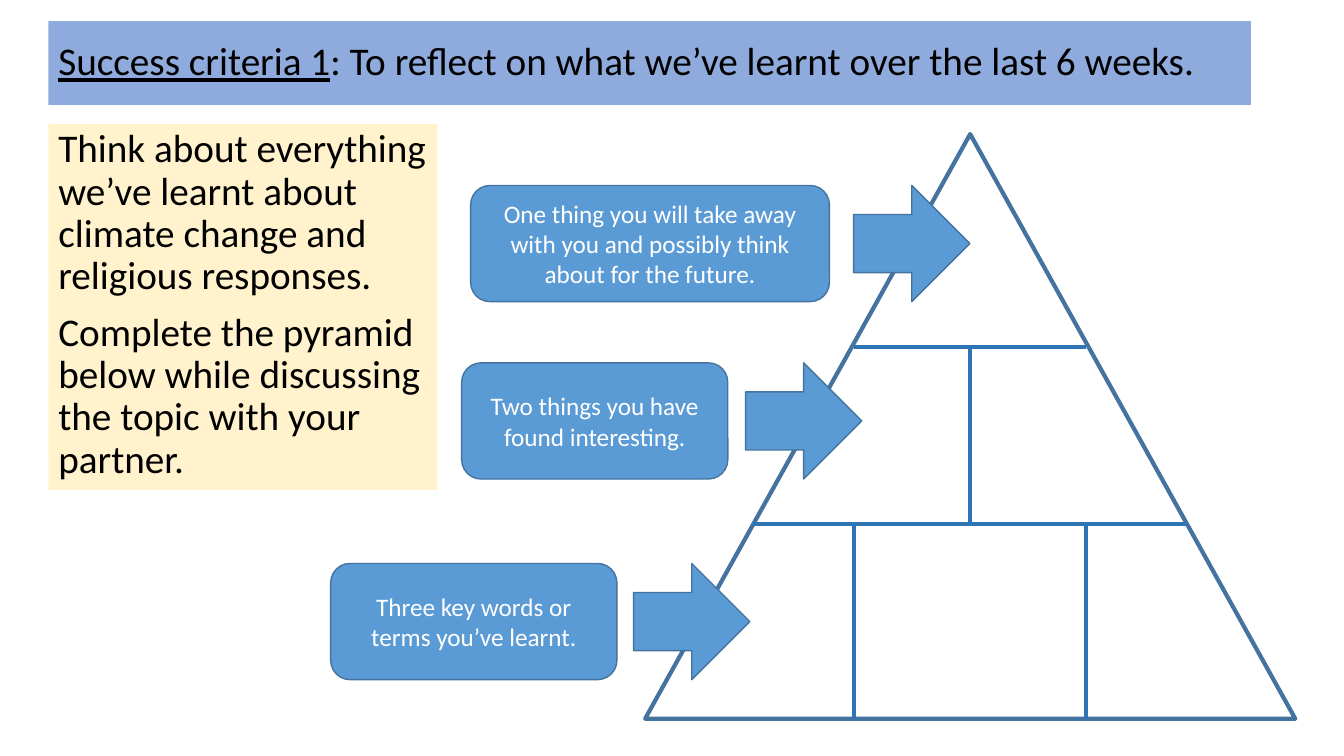
from dataclasses import dataclass

import pptx
import pptx.dml.color
import pptx.enum.shapes
import pptx.enum.text
import pptx.oxml.ns
import pptx.presentation
import pptx.shapes.autoshape
import pptx.slide
import pptx.util
from lxml import etree

Pt = pptx.util.Pt
RGBColor = pptx.dml.color.RGBColor
MSO_SHAPE = pptx.enum.shapes.MSO_SHAPE
PP_ALIGN = pptx.enum.text.PP_ALIGN
MSO_ANCHOR = pptx.enum.text.MSO_ANCHOR

BLACK = RGBColor(0x00, 0x00, 0x00)
WHITE = RGBColor(0xFF, 0xFF, 0xFF)
BANNER_BLUE = RGBColor(0x8F, 0xAA, 0xDC)
CREAM = RGBColor(0xFF, 0xF2, 0xCC)
PROMPT_BLUE = RGBColor(0x5B, 0x9B, 0xD5)
OUTLINE_BLUE = RGBColor(0x43, 0x73, 0x9E)
DIVIDER_BLUE = RGBColor(0x2E, 0x75, 0xB6)

LARGE_TEXT = {"name": "Calibri", "size": Pt(28)}
PROMPT_TEXT = {"name": "Calibri", "size": Pt(18)}
PROMPT_HEIGHT = 83


@dataclass(frozen=True)
class Box:
    left: float
    top: float
    width: float
    height: float


@dataclass(frozen=True)
class Prompt:
    text: str
    left: float
    width: float
    arrow_left: float
    top: float


@dataclass(frozen=True)
class Divider:
    x1: float
    y1: float
    x2: float
    y2: float


# Pyramid geometry
PYRAMID = Box(460.8, 95.8, 464.4, 417.6)
CENTRE = PYRAMID.left + PYRAMID.width / 2
UPPER, LOWER, BASE = 247.7, 374.4, PYRAMID.top + PYRAMID.height
UPPER_HALF, LOWER_HALF = 82.8, 154.8

DIVIDERS = [
    Divider(CENTRE - UPPER_HALF, UPPER, CENTRE + UPPER_HALF, UPPER),
    Divider(CENTRE - LOWER_HALF, LOWER, CENTRE + LOWER_HALF, LOWER),
    Divider(CENTRE, LOWER, CENTRE, UPPER),
    Divider(CENTRE - UPPER_HALF, BASE, CENTRE - UPPER_HALF, LOWER),
    Divider(CENTRE + UPPER_HALF, BASE, CENTRE + UPPER_HALF, LOWER),
]

PROMPTS = [
    Prompt("Three key words or terms you’ve learnt.", 236.2, 204.5, 452.6, 402.5),
    Prompt("Two things you have found interesting.", 329.8, 190.1, 532.6, 259.2),
    Prompt("One thing you will take away with you and possibly think about for the future.",
           336.2, 256.3, 609.8, 132.5),
]

BANNER_PARTS = [
    ("Success criteria 1", True),
    (": To reflect on what we’ve learnt over the last 6 weeks.", False),
]
TASKS = [
    "Think about everything we’ve learnt about climate change and religious responses.",
    "Complete the pyramid below while discussing the topic with your partner.",
]


def add_box(slide: pptx.slide.Slide, kind: MSO_SHAPE, box: Box, fill: RGBColor,
            outline: float = 0) -> pptx.shapes.autoshape.Shape:
    shape = slide.shapes.add_shape(
        kind, Pt(box.left), Pt(box.top), Pt(box.width), Pt(box.height))
    shape.shadow.inherit = False
    shape.fill.solid()
    shape.fill.fore_color.rgb = fill
    if outline:
        shape.line.color.rgb = OUTLINE_BLUE
        shape.line.width = Pt(outline)
    else:
        shape.line.fill.background()
    shape.text_frame.word_wrap = True
    return shape


def add_run(paragraph, text: str, style: dict, color: RGBColor, underline: bool = False) -> None:
    run = paragraph.add_run()
    run.text = text
    for attribute, value in {**style, "underline": underline}.items():
        setattr(run.font, attribute, value)
    run.font.color.rgb = color


def add_divider(slide: pptx.slide.Slide, divider: Divider) -> None:
    line = slide.shapes.add_connector(
        pptx.enum.shapes.MSO_CONNECTOR.STRAIGHT,
        Pt(divider.x1), Pt(divider.y1), Pt(divider.x2), Pt(divider.y2))
    line.line.color.rgb = DIVIDER_BLUE
    line.line.width = Pt(3)
    etree.SubElement(line._element.spPr, pptx.oxml.ns.qn("a:effectLst"))


def add_banner(slide: pptx.slide.Slide) -> None:
    banner = add_box(slide, MSO_SHAPE.RECTANGLE, Box(34.6, 15.1, 859, 59.8), BANNER_BLUE)
    banner.text_frame.vertical_anchor = MSO_ANCHOR.MIDDLE
    heading = banner.text_frame.paragraphs[0]
    heading.alignment = PP_ALIGN.LEFT
    heading.line_spacing = 0.9
    for text, underline in BANNER_PARTS:
        add_run(heading, text, LARGE_TEXT, BLACK, underline)


def add_tasks(slide: pptx.slide.Slide) -> None:
    panel = add_box(slide, MSO_SHAPE.RECTANGLE, Box(34.6, 88.6, 277.9, 261.4), CREAM)
    frame = panel.text_frame
    frame.vertical_anchor = MSO_ANCHOR.TOP
    for index, text in enumerate(TASKS):
        task = frame.add_paragraph() if index else frame.paragraphs[0]
        task.alignment = PP_ALIGN.LEFT
        task.line_spacing = 0.9
        task.space_before = Pt(10 if index else 0)
        add_run(task, text, LARGE_TEXT, BLACK)


def add_prompt(slide: pptx.slide.Slide, prompt: Prompt) -> None:
    arrow = Box(prompt.arrow_left, prompt.top, PROMPT_HEIGHT, PROMPT_HEIGHT)
    add_box(slide, MSO_SHAPE.RIGHT_ARROW, arrow, PROMPT_BLUE, 1)
    label = Box(prompt.left, prompt.top, prompt.width, PROMPT_HEIGHT)
    bubble = add_box(slide, MSO_SHAPE.ROUNDED_RECTANGLE, label, PROMPT_BLUE, 1)
    bubble.text_frame.vertical_anchor = MSO_ANCHOR.MIDDLE
    sentence = bubble.text_frame.paragraphs[0]
    sentence.alignment = PP_ALIGN.CENTER
    add_run(sentence, prompt.text, PROMPT_TEXT, WHITE)


def main() -> None:
    lesson = pptx.Presentation()
    lesson.slide_width, lesson.slide_height = Pt(960), Pt(540)
    slide = lesson.slides.add_slide(lesson.slide_layouts[6])

    # Heading and instructions
    add_banner(slide)
    add_tasks(slide)

    # Pyramid with its inner lines
    add_box(slide, MSO_SHAPE.ISOSCELES_TRIANGLE, PYRAMID, WHITE, 3)
    for divider in DIVIDERS:
        add_divider(slide, divider)

    # Prompts pointing at each tier
    for prompt in PROMPTS:
        add_prompt(slide, prompt)

    lesson.save("out.pptx")


if __name__ == "__main__":
    main()
